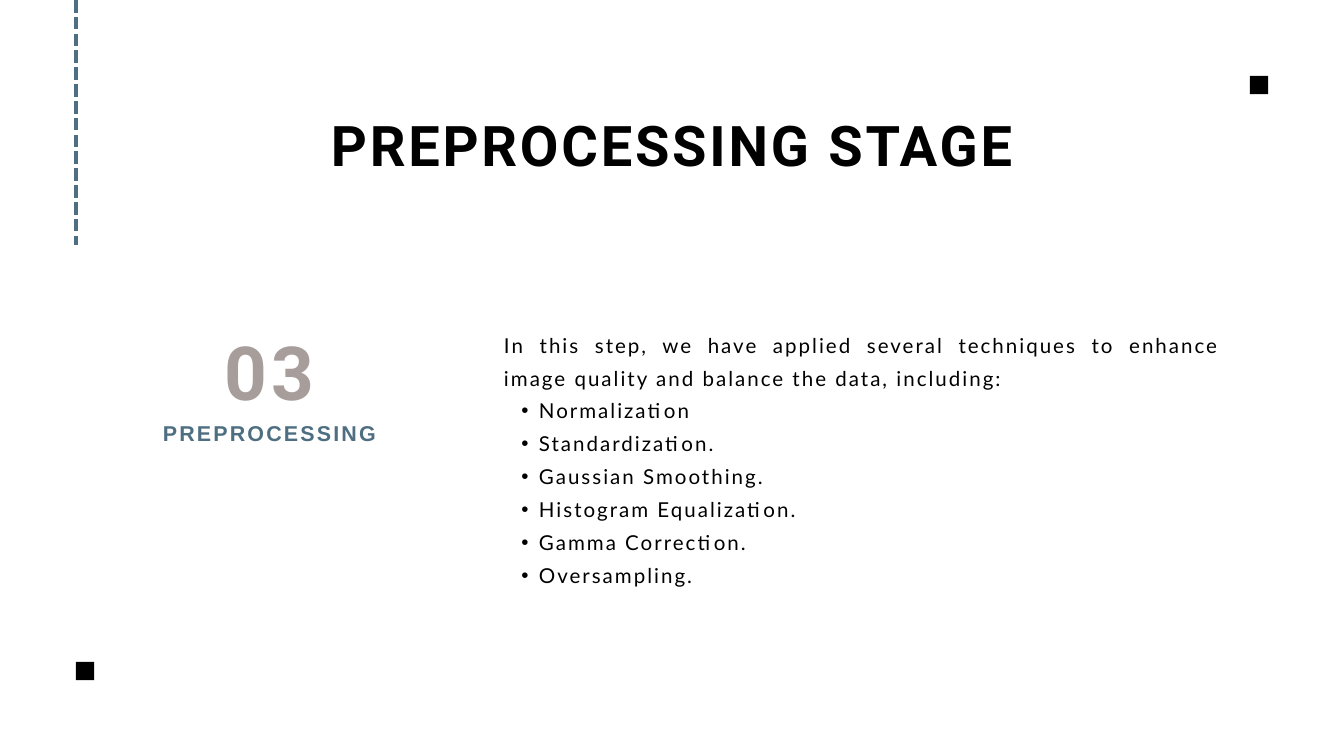
from lxml import etree
from pptx import Presentation
from pptx.dml.color import RGBColor
from pptx.enum.dml import MSO_LINE
from pptx.enum.shapes import MSO_CONNECTOR, MSO_SHAPE
from pptx.enum.text import MSO_ANCHOR, MSO_AUTO_SIZE, PP_ALIGN as ALIGN
from pptx.oxml.ns import qn
from pptx.util import Inches, Pt

BLACK, BLUE, TAUPE = "000000", "4E6E81", "A79E9C"


def color(hex_code):
    return RGBColor.from_string(hex_code)


def write(box, text, *, font, size, spacing, line, fill=BLACK, bold=False,
          align=ALIGN.CENTER, bullet=False, first=True):
    """Write one paragraph; the first one also sets up the text frame."""
    frame = box.text_frame
    if first:
        frame.word_wrap = True
        frame.auto_size = MSO_AUTO_SIZE.NONE
        frame.vertical_anchor = MSO_ANCHOR.TOP
        frame.margin_left = frame.margin_right = 0
        frame.margin_top = frame.margin_bottom = 0
    para = frame.paragraphs[0] if first else frame.add_paragraph()
    para.alignment = align
    para.line_spacing = Pt(line)
    para.space_before = Pt(0)
    if bullet:
        para.level = 1
        props = para._p.get_or_add_pPr()
        props.set("marL", str(Inches(0.52)))
        props.set("indent", str(Inches(-0.26)))
        etree.SubElement(props, qn("a:buFont")).set("typeface", "Arial")
        etree.SubElement(props, qn("a:buChar")).set("char", "•")
    span = para.add_run()
    span.text = text
    span.font.name = font
    span.font.size = Pt(size)
    span.font.bold = bold
    span.font.color.rgb = color(fill)
    span._r.get_or_add_rPr().set("spc", str(round(spacing * 100)))


deck = Presentation()
deck.slide_width, deck.slide_height = Inches(20), Inches(11.25)
page = deck.slides.add_slide(deck.slide_layouts[5])

# Title
title = page.shapes.title
title.left, title.top = Inches(1.51), Inches(1.48)
title.width, title.height = Inches(16.98), Inches(1.19)
write(title, "PREPROCESSING STAGE", font="Roboto", size=60, spacing=3,
      line=84, bold=True)

# Step number and name
number = page.shapes.add_textbox(Inches(1.4), Inches(4.62), Inches(5.22), Inches(1.56))
write(number, "03", font="Roboto", size=80, spacing=4, line=112,
      fill=TAUPE, bold=True)
step = page.shapes.add_textbox(Inches(1.4), Inches(6.19), Inches(5.22), Inches(0.43))
write(step, "PREPROCESSING", font="Arial", size=23, spacing=2.29, line=32.2,
      fill=BLUE, bold=True)

# Description with the list of techniques
body = page.shapes.add_textbox(Inches(7.5), Inches(4.83), Inches(10.66), Inches(3.81))
body_format = dict(font="Lato", size=21.99, spacing=2.19, line=35.19,
                   align=ALIGN.JUSTIFY)
write(body, "In this step, we have applied several techniques to enhance "
      "image quality and balance the data, including:", **body_format)
for technique in ("Normalization", "Standardization.", "Gaussian Smoothing.",
                  "Histogram Equalization.", "Gamma Correction.", "Oversampling."):
    write(body, technique, bullet=True, first=False, **body_format)

# Corner squares
for left, top in ((1.13, 9.85), (18.6, 1.13)):
    square = page.shapes.add_shape(MSO_SHAPE.RECTANGLE, Inches(left), Inches(top),
                                   Inches(0.27), Inches(0.27))
    square.shadow.inherit = False
    square.fill.solid()
    square.fill.fore_color.rgb = color(BLACK)
    square.line.fill.background()

# Dashed line from the top edge
dashes = page.shapes.add_connector(MSO_CONNECTOR.STRAIGHT, Inches(1.13), 0,
                                   Inches(1.13), Inches(3.65))
dashes.line.color.rgb = color(BLUE)
dashes.line.width = Pt(4.5)
dashes.line.dash_style = MSO_LINE.SQUARE_DOT
etree.SubElement(dashes._element.spPr, qn("a:effectLst"))

deck.save("out.pptx")
